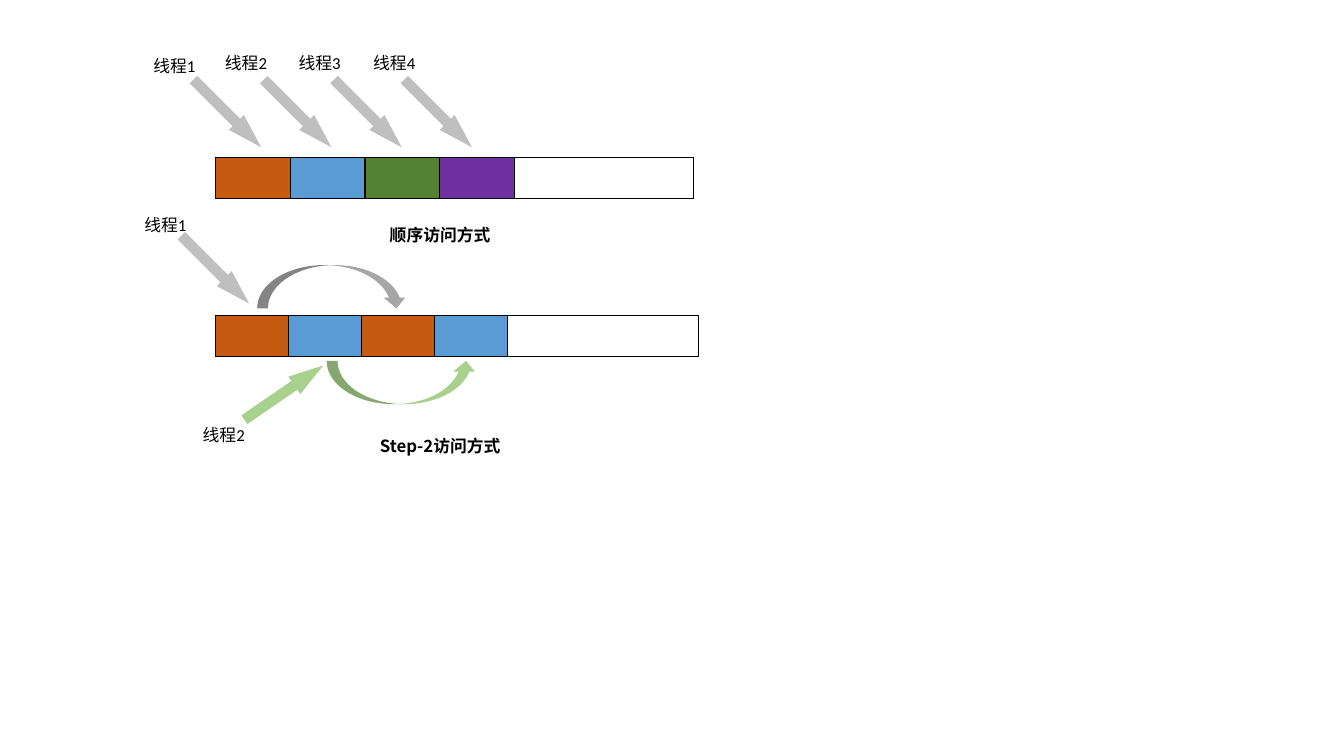
from lxml.etree import SubElement
from pptx import Presentation
from pptx.dml.color import RGBColor
from pptx.enum.shapes import MSO_SHAPE as SHAPE
from pptx.enum.text import MSO_ANCHOR, PP_ALIGN
from pptx.oxml.ns import qn
from pptx.util import Inches, Pt

COLORS = {"orange": "C55A11", "blue": "5B9BD5", "green": "548235",
          "purple": "7030A0", "white": "FFFFFF", "black": "000000",
          "silver": "BFBFBF", "gray": "A6A6A6", "lime": "A9D18E"}
LATIN, CJK = "Calibri", "Noto Sans CJK SC"

# Memory rows: top, block width, rest width, block colours
MEMORY_LEFT, MEMORY_H = 2.14, 0.41
MEMORIES = [
    (1.56, 0.74, 1.78, ["orange", "blue", "green", "purple", "white"]),
    (3.13, 0.724, 1.89, ["orange", "blue", "orange", "blue", "white"]),
]

# Straight arrows: left, top, rotation, colour
ARROW_W, ARROW_H, ARROW_STEP = 0.21, 0.95, 0.697
ARROWS = [(2.15 + i * ARROW_STEP, 0.65, 315, "silver") for i in range(4)]
ARROWS += [(2.03, 2.2, 315, "silver"), (2.71, 3.42, 235.5, "lime")]

# Curved jumps: shape, left, top, colour
JUMP_W, JUMP_H = 1.49, 0.43
JUMPS = [(SHAPE.CURVED_DOWN_ARROW, 2.55, 2.63, "gray"),
         (SHAPE.CURVED_UP_ARROW, 3.24, 3.58, "lime")]

LABEL_W, CAPTION_W, TEXT_H = 0.74, 1.55, 0.29
LABELS = [("线程1", 1.36, 0.51), ("线程2", 2.07, 0.48), ("线程3", 2.8, 0.48),
          ("线程4", 3.54, 0.48), ("线程1", 1.27, 2.08), ("线程2", 1.85, 4.17)]
CAPTIONS = [("顺序访问方式", 3.59, 2.18), ("Step-2访问方式", 3.59, 4.28)]


def rgb(name):
    return RGBColor.from_string(COLORS[name])


def box(*lengths):
    return [Inches(n) for n in lengths]


def add_borders(cell):
    tcPr = cell._tc.get_or_add_tcPr()
    for side in ("lnL", "lnR", "lnT", "lnB"):
        ln = SubElement(tcPr, qn(f"a:{side}"), w=str(Pt(1)))
        fill = SubElement(ln, qn("a:solidFill"))
        SubElement(fill, qn("a:srgbClr"), val=COLORS["black"])


def add_memory(slide, top, block_w, rest_w, colors):
    widths = [block_w] * (len(colors) - 1) + [rest_w]
    table = slide.shapes.add_table(
        1, len(colors), *box(MEMORY_LEFT, top, sum(widths), MEMORY_H)).table
    table.first_row = table.horz_banding = False
    for i, (width, color) in enumerate(zip(widths, colors)):
        table.columns[i].width = Inches(width)
        cell = table.cell(0, i)
        cell.margin_top = cell.margin_bottom = 0
        cell.text_frame.paragraphs[0].font.size = Pt(12)
        add_borders(cell)
        cell.fill.solid()
        cell.fill.fore_color.rgb = rgb(color)


def add_arrow(slide, kind, color, *place):
    sp = slide.shapes.add_shape(kind, *box(*place))
    sp.shadow.inherit = False
    sp.fill.solid()
    sp.fill.fore_color.rgb = rgb(color)
    sp.line.fill.background()
    return sp


def add_text(slide, text, left, top, width, **font):
    tf = slide.shapes.add_textbox(*box(left, top, width, TEXT_H)).text_frame
    tf.word_wrap = True
    tf.vertical_anchor = MSO_ANCHOR.MIDDLE
    p = tf.paragraphs[0]
    p.alignment = PP_ALIGN.CENTER
    r = p.add_run()
    r.text = text
    for key, value in {"size": Pt(12), **font}.items():
        setattr(r.font, key, value)
    r.font.color.rgb = rgb("black")
    SubElement(r._r.get_or_add_rPr(), qn("a:ea"), typeface=CJK)


def main():
    prs = Presentation()
    prs.slide_width, prs.slide_height = box(13.33, 7.5)
    slide = prs.slides.add_slide(prs.slide_layouts[6])
    for memory in MEMORIES:
        add_memory(slide, *memory)
    for left, top, rotation, color in ARROWS:
        sp = add_arrow(slide, SHAPE.DOWN_ARROW, color, left, top, ARROW_W, ARROW_H)
        sp.rotation = rotation
        sp.adjustments[0], sp.adjustments[1] = 0.5, 1.66
    for kind, left, top, color in JUMPS:
        add_arrow(slide, kind, color, left, top, JUMP_W, JUMP_H)
    for label in LABELS:
        add_text(slide, *label, LABEL_W, name=LATIN)
    for caption in CAPTIONS:
        add_text(slide, *caption, CAPTION_W, name=CJK, bold=True)
    prs.save("out.pptx")


if __name__ == "__main__":
    main()
